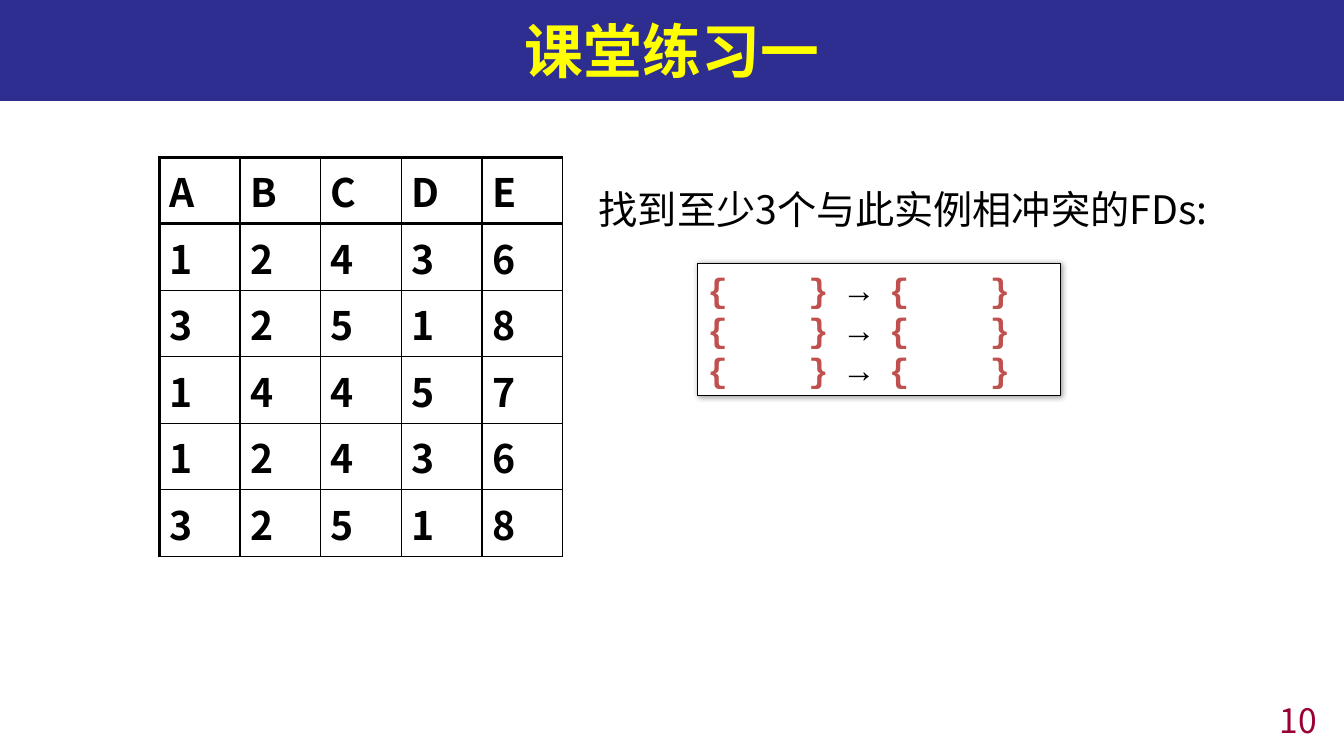
from lxml.etree import SubElement
from pptx import Presentation
from pptx.dml.color import RGBColor
from pptx.enum.shapes import MSO_SHAPE as Shape
from pptx.enum.text import MSO_ANCHOR as Anchor, MSO_AUTO_SIZE as AutoSize, PP_ALIGN as Align
from pptx.oxml.ns import qn
from pptx.util import Inches, Pt


class Theme:
    font = "Noto Sans CJK SC"
    code_font = "Courier New"
    band = "000078"
    heading = "FFFF00"
    ink = "000000"
    paper = "FFFFFF"
    accent = "C0504D"
    number = "990033"
    title_size = 42
    body_size = 28
    small_size = 24
    thick = 2.25
    thin = 1


HEADING = "课堂练习一"
PAGE = "10"
QUESTION = "找到至少3个与此实例相冲突的FDs:"
INSTANCE = ["ABCDE", "12436", "32518", "14457", "12436", "32518"]
BLANK_FD = [("{\t}", Theme.accent), (" → ", Theme.ink), ("{\t}", Theme.accent)]
FD_COUNT = 3
FD_TABS = (1.0, 2.8)

HEADING_BOX = (0, 0, 13.33, 1)
PAGE_BOX = (10.33, 6.99, 2.83, 0.31)
QUESTION_BOX = (5.84, 1.56, 6.42, 0.72)
ANSWER_BOX = (6.92, 2.61, 3.6, 1.31)
INSTANCE_CORNER = (1.58, 1.56)
COLUMN_WIDTH = 0.8
ROW_HEIGHT = 0.66


def box(lengths):
    return [Inches(length) for length in lengths]


def color(code):
    return RGBColor.from_string(code)


def put_text(frame, lines, size=Theme.body_size, font=Theme.font, ink=Theme.ink, bold=False,
             align=Align.LEFT, anchor=Anchor.TOP, spacing=None, tabs=()):
    frame.word_wrap = True
    frame.vertical_anchor = anchor
    for index, line in enumerate(lines):
        paragraph = frame.add_paragraph() if index else frame.paragraphs[0]
        paragraph.alignment = align
        if spacing:
            paragraph.line_spacing = spacing
        if tabs:
            stops = SubElement(paragraph._p.get_or_add_pPr(), qn("a:tabLst"))
            for stop in tabs:
                SubElement(stops, qn("a:tab"), pos=str(Inches(stop)), algn="l")
        for words, run_ink in [(line, ink)] if isinstance(line, str) else line:
            run = paragraph.add_run()
            run.text = words
            run.font.size = Pt(size)
            run.font.bold = bold
            run.font.color.rgb = color(run_ink)
            run.font.name = font
            for script in ("a:ea", "a:cs"):
                SubElement(run._r.get_or_add_rPr(), qn(script), typeface=font)


def add_borders(cell, widths):
    properties = cell._tc.get_or_add_tcPr()
    for side, width in widths.items():
        border = SubElement(properties, qn("a:ln" + side), w=str(Pt(width)))
        fill = SubElement(border, qn("a:solidFill"))
        SubElement(fill, qn("a:srgbClr"), val=Theme.ink)


def add_heading(slide):
    heading = slide.shapes.title
    heading.left, heading.top, heading.width, heading.height = box(HEADING_BOX)
    heading.fill.solid()
    heading.fill.fore_color.rgb = color(Theme.band)
    tint = heading.fill._xPr.find(qn("a:solidFill"))[0]
    SubElement(tint, qn("a:alpha"), val="82000")
    put_text(heading.text_frame, [HEADING], size=Theme.title_size, ink=Theme.heading,
             bold=True, align=Align.CENTER, anchor=Anchor.MIDDLE)
    heading.text_frame.auto_size = AutoSize.NONE


def add_instance(slide):
    rows, columns = len(INSTANCE), len(INSTANCE[0])
    extent = (columns * COLUMN_WIDTH, rows * ROW_HEIGHT)
    instance = slide.shapes.add_table(rows, columns, *box(INSTANCE_CORNER + extent)).table
    instance.first_row = instance.horz_banding = False
    for row, values in enumerate(INSTANCE):
        for column, value in enumerate(values):
            cell = instance.cell(row, column)
            put_text(cell.text_frame, [value], bold=True)
            add_borders(cell, {
                "L": Theme.thin if column else Theme.thick,
                "R": Theme.thin,
                "T": Theme.thin if row > 1 else Theme.thick,
                "B": Theme.thin if row else Theme.thick,
            })
            cell.fill.background()


def add_answer(slide):
    answer = slide.shapes.add_shape(Shape.RECTANGLE, *box(ANSWER_BOX))
    answer.fill.solid()
    answer.fill.fore_color.rgb = color(Theme.paper)
    answer.line.color.rgb = color(Theme.ink)
    answer.line.width = Pt(0.75)
    answer.shadow.inherit = False
    effects = answer._element.spPr.find(qn("a:effectLst"))
    shadow = SubElement(effects, qn("a:outerShdw"), blurRad=str(Pt(4)), dist=str(Pt(1)),
                        dir="2700000", algn="tl", rotWithShape="0")
    shade = SubElement(shadow, qn("a:srgbClr"), val=Theme.ink)
    SubElement(shade, qn("a:alpha"), val="40000")
    put_text(answer.text_frame, [BLANK_FD] * FD_COUNT, size=Theme.small_size,
             font=Theme.code_font, bold=True, anchor=Anchor.MIDDLE, tabs=FD_TABS)


def main():
    deck = Presentation()
    deck.slide_width, deck.slide_height = Inches(13.33), Inches(7.5)
    slide = deck.slides.add_slide(deck.slide_layouts[5])
    add_heading(slide)
    page = slide.shapes.add_textbox(*box(PAGE_BOX))
    put_text(page.text_frame, [PAGE], size=Theme.small_size, ink=Theme.number,
             align=Align.RIGHT, anchor=Anchor.MIDDLE)
    add_instance(slide)
    question = slide.shapes.add_textbox(*box(QUESTION_BOX))
    put_text(question.text_frame, [QUESTION], spacing=1.5)
    add_answer(slide)
    deck.save("out.pptx")


if __name__ == "__main__":
    main()
